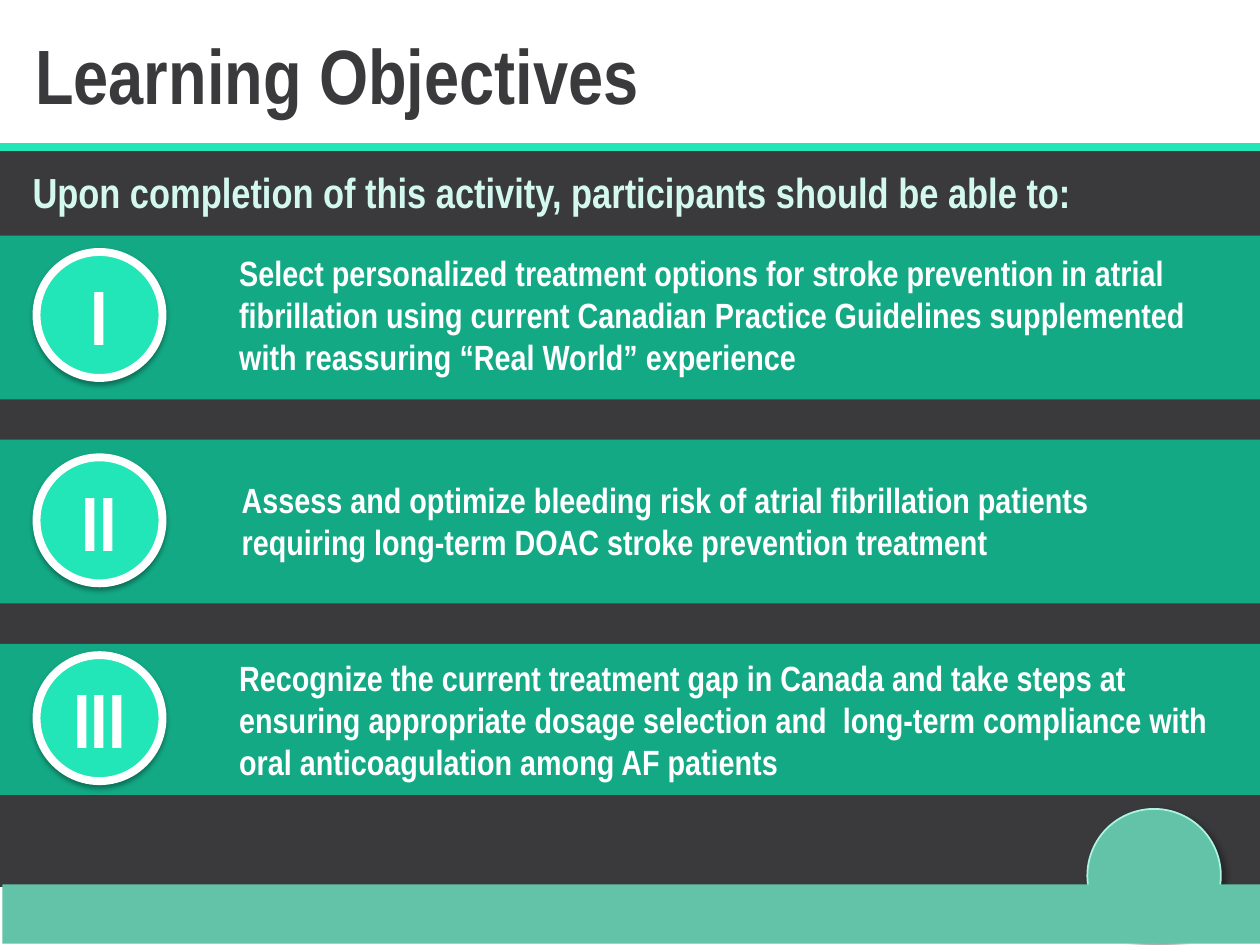
from dataclasses import dataclass

import pptx
import pptx.dml.color
import pptx.enum.shapes
import pptx.enum.text
import pptx.oxml
import pptx.oxml.ns
import pptx.util

SCALE = 9144
FONT = "Arial Narrow"
COLORS = {
    "dark": "3A3A3C",
    "band": "13A985",
    "accent": "22E6B7",
    "footer": "62C3A8",
    "rim": "AEF4E2",
    "pale": "D3F9EF",
    "white": "FFFFFF",
    "black": "000000",
}
SHAPE = pptx.enum.shapes.MSO_SHAPE
ALIGN = pptx.enum.text.PP_ALIGN
ANCHOR = pptx.enum.text.MSO_ANCHOR
AUTO_SIZE = pptx.enum.text.MSO_AUTO_SIZE


@dataclass
class Box:
    x: int
    y: int
    w: int
    h: int


@dataclass
class Shadow:
    alpha: int
    blur: float
    dist: float
    angle: int


@dataclass
class Objective:
    numeral: str
    text: str
    band: Box
    circle_y: int
    text_box: Box


BADGE_SHADOW = Shadow(35, 3.1, 1.8, 90)
FOOTER_SHADOW = Shadow(40, 4, 3, 45)

OBJECTIVES = [
    Objective(
        "I",
        "Select personalized treatment options for stroke prevention in atrial "
        "fibrillation using current Canadian Practice Guidelines supplemented "
        "with reassuring “Real World” experience",
        Box(0, 187, 1000, 130), 200, Box(180, 195, 791, 111),
    ),
    Objective(
        "II",
        "Assess and optimize bleeding risk of atrial fibrillation patients "
        "requiring long-term DOAC stroke prevention treatment",
        Box(0, 349, 1000, 130), 363, Box(182, 375, 765, 77),
    ),
    Objective(
        "III",
        "Recognize the current treatment gap in Canada and take steps at "
        "ensuring appropriate dosage selection and  long-term compliance with "
        "oral anticoagulation among AF patients",
        Box(0, 511, 1000, 120), 520, Box(180, 516, 791, 111),
    ),
]


def px(n: int) -> pptx.util.Emu:
    return pptx.util.Emu(n * SCALE)


def place(box: Box) -> list:
    return [px(n) for n in (box.x, box.y, box.w, box.h)]


def rgb(name: str) -> pptx.dml.color.RGBColor:
    return pptx.dml.color.RGBColor.from_string(COLORS[name])


def set_text(sp, text: str, size: int, color: str, align=ALIGN.LEFT,
             anchor=ANCHOR.TOP, auto_size=AUTO_SIZE.NONE) -> None:
    tf = sp.text_frame
    tf.text = text
    tf.word_wrap = True
    tf.auto_size = auto_size
    tf.vertical_anchor = anchor
    p = tf.paragraphs[0]
    p.alignment = align
    r = p.runs[0]
    r.font.name = FONT
    r.font.size = pptx.util.Pt(size)
    r.font.bold = True
    r.font.color.rgb = rgb(color)


def add_shape(s, kind, box: Box, fill: str):
    sp = s.shapes.add_shape(kind, *place(box))
    sp.shadow.inherit = False
    sp.fill.solid()
    sp.fill.fore_color.rgb = rgb(fill)
    sp.line.fill.background()
    return sp


def add_circle(s, box: Box, fill: str, line: str, width: float, shadow: Shadow):
    sp = add_shape(s, SHAPE.FLOWCHART_CONNECTOR, box, fill)
    sp.line.color.rgb = rgb(line)
    sp.line.width = pptx.util.Pt(width)
    effects = sp._element.spPr.find(pptx.oxml.ns.qn("a:effectLst"))
    effects.append(pptx.oxml.parse_xml(
        f'<a:outerShdw {pptx.oxml.ns.nsdecls("a")} blurRad="{pptx.util.Pt(shadow.blur)}" '
        f'dist="{pptx.util.Pt(shadow.dist)}" dir="{shadow.angle * 60000}" rotWithShape="0">'
        f'<a:srgbClr val="{COLORS["black"]}"><a:alpha val="{shadow.alpha * 1000}"/>'
        f'</a:srgbClr></a:outerShdw>'))
    return sp


def add_rule(s, y: int) -> None:
    sp = s.shapes.add_connector(
        pptx.enum.shapes.MSO_CONNECTOR.STRAIGHT, px(0), px(y), px(1000), px(y))
    sp.line.color.rgb = rgb("accent")
    sp.line.width = pptx.util.Pt(4.5)
    sp._element.spPr.append(
        pptx.oxml.parse_xml(f'<a:effectLst {pptx.oxml.ns.nsdecls("a")}/>'))


def add_objective(s, item: Objective) -> None:
    add_shape(s, SHAPE.RECTANGLE, item.band, "band")
    sp = add_circle(s, Box(29, item.circle_y, 100, 100), "accent", "white", 4.5, BADGE_SHADOW)
    set_text(sp, item.numeral, 44, "white", ALIGN.CENTER, ANCHOR.MIDDLE)
    sp = s.shapes.add_textbox(*place(item.text_box))
    set_text(sp, item.text, 20, "white", auto_size=AUTO_SIZE.SHAPE_TO_FIT_TEXT)


def main() -> None:
    prs = pptx.Presentation()
    prs.slide_width, prs.slide_height = px(1000), px(750)
    s = prs.slides.add_slide(prs.slide_layouts[5])

    title = s.shapes.title
    title.left, title.top, title.width, title.height = place(Box(18, 17, 882, 84))
    set_text(title, "Learning Objectives", 44, "dark",
             auto_size=AUTO_SIZE.SHAPE_TO_FIT_TEXT)

    add_shape(s, SHAPE.RECTANGLE, Box(0, 117, 1000, 587), "dark")
    add_circle(s, Box(863, 642, 106, 106), "footer", "rim", 1, FOOTER_SHADOW)
    add_rule(s, 117)
    add_shape(s, SHAPE.RECTANGLE, Box(2, 702, 1000, 47), "footer")

    for item in OBJECTIVES:
        add_objective(s, item)

    sp = s.shapes.add_textbox(*place(Box(16, 127, 949, 60)))
    set_text(sp, "Upon completion of this activity, participants should be able to:",
             24, "pale")

    prs.save("out.pptx")


if __name__ == "__main__":
    main()
